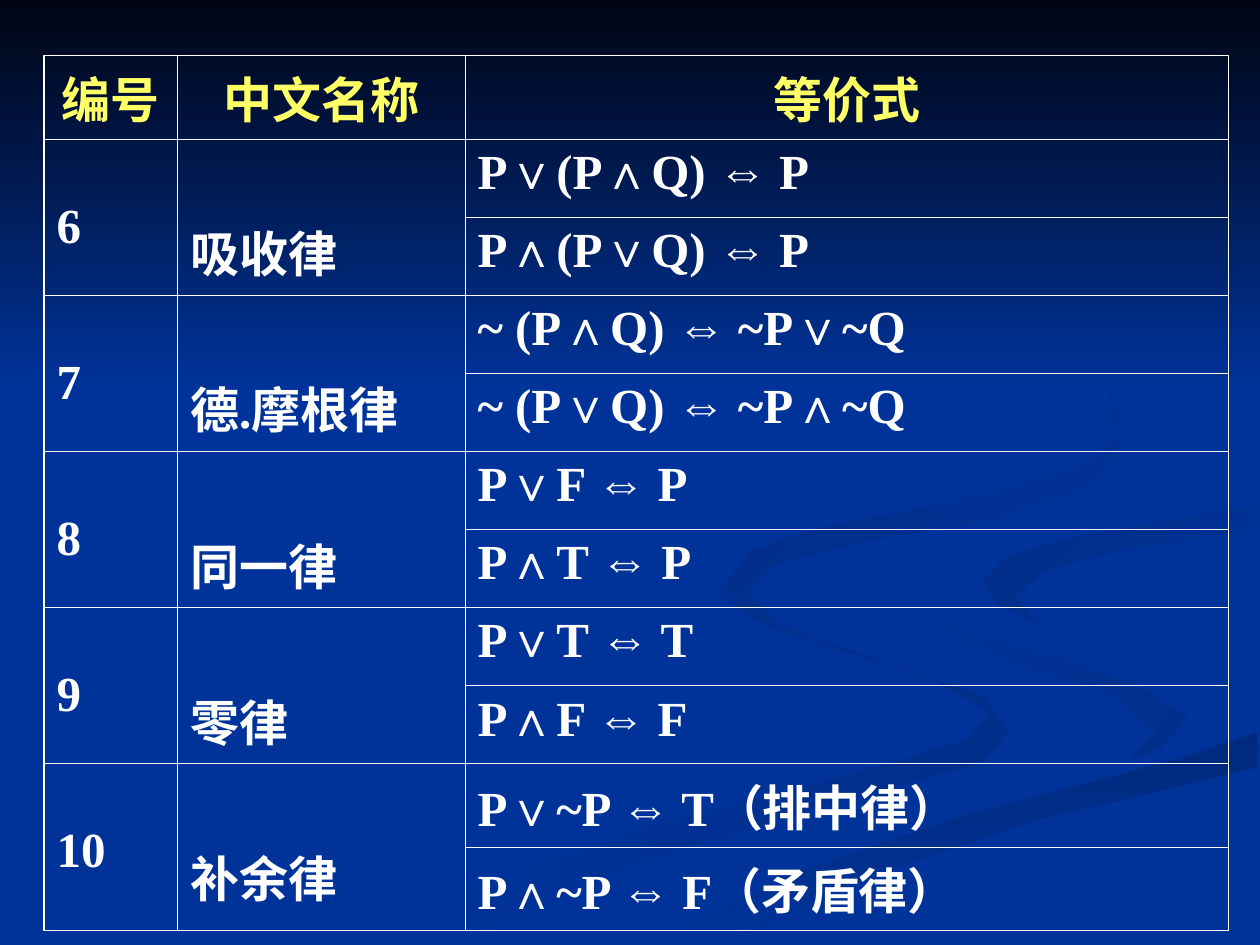
from lxml import etree
from pptx import Presentation
from pptx import util as u
from pptx.dml.color import RGBColor
from pptx.enum import shapes, text
from pptx.oxml import ns

COLORS = {"blue": "003399", "night": "000514", "white": "FFFFFF", "yellow": "FFFF66",
          "shade": "002E8B", "deep": "002A7D", "dusk": "002D86", "ink": "002B82"}
EMU_PER_PX = 9144  # 100 px to the inch

# Each stream: corner points, start colour, end colour, gradient angle
STREAMS = [
    ([(781, 553), (682, 519), (602, 490), (575, 459), (570, 472), (611, 499), (741, 539),
      (786, 566), (767, 587), (684, 613), (499, 661), (376, 707), (300, 749), (361, 749),
      (499, 687), (651, 640), (780, 605), (800, 581)], "blue", "shade", 0),
    ([(943, 570), (919, 547), (774, 503), (733, 483), (724, 464), (733, 488), (781, 518),
      (880, 549), (918, 581), (894, 605), (932, 589)], "blue", "shade", 45),
    ([(503, 749), (571, 749), (670, 702), (821, 651), (998, 609), (998, 581), (920, 606),
      (764, 647), (630, 693)], "deep", "blue", 90),
    ([(725, 464), (745, 490), (889, 535), (943, 570), (919, 597), (743, 643), (619, 684),
      (477, 749), (519, 747), (630, 693), (765, 647), (936, 602), (999, 581), (999, 538),
      (866, 509), (804, 485), (781, 463), (811, 437), (999, 402), (999, 387), (788, 422),
      (732, 446)], "blue", "blue", 0),
    ([(781, 460), (791, 478), (826, 496), (805, 474), (828, 453), (896, 435), (998, 420),
      (998, 402), (849, 427), (799, 442)], "dusk", "blue", 45),
    ([(683, 430), (786, 412), (867, 384), (894, 344), (880, 307), (843, 275), (762, 233),
      (846, 279), (882, 313), (886, 348), (861, 370), (791, 392), (649, 420), (597, 437),
      (577, 462), (590, 484), (622, 500), (593, 470), (614, 448)], "ink", "blue", 45),
]

HEADINGS = ["编号", "中文名称", "等价式"]
LAWS = [
    ("6", "吸收律", ["P∨(P∧Q) ⇔ P", "P∧(P∨Q) ⇔ P"]),
    ("7", "德.摩根律", ["~ (P∧Q) ⇔ ~P∨~Q", "~ (P∨Q) ⇔ ~P∧~Q"]),
    ("8", "同一律", ["P∨F ⇔ P", "P∧T ⇔ P"]),
    ("9", "零律", ["P∨T ⇔ T", "P∧F ⇔ F"]),
    ("10", "补余律", ["P∨~P ⇔ T（排中律）", "P∧~P ⇔ F（矛盾律）"]),
]


def px(value):
    return u.Emu(value * EMU_PER_PX)


def rgb(name):
    return RGBColor.from_string(COLORS[name])


class SlideBuilder:
    body_font, symbol_font, size = "Times New Roman", "Arial", 28
    outer_line, inner_line = 1.08, 0.45

    def __init__(self, slide):
        self.slide = slide

    def background(self, color):
        fill = self.slide.background.fill
        fill.solid()
        fill.fore_color.rgb = rgb(color)

    def paint(self, shape, start, end, angle):
        """Fill with a gradient whose angle runs clockwise; no line or shadow."""
        shape.shadow.inherit = False
        shape.line.fill.background()
        if start == end:
            shape.fill.solid()
            shape.fill.fore_color.rgb = rgb(start)
            return
        shape.fill.gradient()
        shape.fill.gradient_angle = 360 - angle
        for stop, color, position in zip(shape.fill.gradient_stops, (start, end), (0, 1)):
            stop.color.rgb = rgb(color)
            stop.position = position

    def outline(self, points, start, end, angle):
        builder = self.slide.shapes.build_freeform(*points[0], scale=EMU_PER_PX)
        builder.add_line_segments(points[1:], close=True)
        self.paint(builder.convert_to_shape(), start, end, angle)

    def rectangle(self, left, top, width, height, start, end, angle):
        shape = self.slide.shapes.add_shape(
            shapes.MSO_SHAPE.RECTANGLE, px(left), px(top), px(width), px(height))
        self.paint(shape, start, end, angle)

    def table(self, left, top, widths, row_height, row_count):
        frame = self.slide.shapes.add_table(row_count, len(widths), px(left), px(top),
                                            px(sum(widths)), px(row_height * row_count))
        table = frame.table
        table.first_row = table.horz_banding = False
        for column, width in zip(table.columns, widths):
            column.width = px(width)
        for row in table.rows:
            row.height = px(row_height)
        return table

    def cell(self, table, row, column, words, color="white", centered=False, span=1, spacing=None):
        cell = table.cell(row, column)
        if span > 1:
            cell.merge(table.cell(row + span - 1, column))
        cell.fill.background()
        cell.vertical_anchor = text.MSO_ANCHOR.TOP
        self.borders(cell, {"lnL": column == 0, "lnR": column + 1 == len(table.columns),
                            "lnT": row == 0, "lnB": row + span == len(table.rows)})
        paragraph = cell.text_frame.paragraphs[0]
        paragraph.alignment = text.PP_ALIGN.CENTER if centered else text.PP_ALIGN.LEFT
        if spacing:
            paragraph.line_spacing = spacing
        for part in filter(None, words.partition("⇔")):
            run = paragraph.add_run()
            run.text = part
            run.font.name = self.symbol_font if part == "⇔" else self.body_font
            run.font.size = u.Pt(self.size)
            run.font.bold = True
            run.font.color.rgb = rgb(color)

    def borders(self, cell, outer_sides):
        properties = cell._tc.get_or_add_tcPr()
        for index, (tag, is_outer) in enumerate(outer_sides.items()):
            width = u.Pt(self.outer_line if is_outer else self.inner_line)
            line = etree.Element(ns.qn(f"a:{tag}"), w=str(int(width)))
            fill = etree.SubElement(line, ns.qn("a:solidFill"))
            etree.SubElement(fill, ns.qn("a:srgbClr"), val=COLORS["white"])
            properties.insert(index, line)


def main():
    presentation = Presentation()
    presentation.slide_width, presentation.slide_height = px(1000), px(750)
    builder = SlideBuilder(presentation.slides.add_slide(presentation.slide_layouts[6]))

    builder.background("blue")
    for stream in STREAMS:
        builder.outline(*stream)
    builder.rectangle(0, 0, 1000, 308, "night", "blue", 90)

    table = builder.table(35, 44, [106, 228, 606], 62, 1 + 2 * len(LAWS))
    for column, heading in enumerate(HEADINGS):
        builder.cell(table, 0, column, heading, "yellow", centered=True)
    for index, (number, name, formulas) in enumerate(LAWS):
        row = 1 + 2 * index
        for column, words in enumerate((number, name)):
            builder.cell(table, row, column, words, span=2, spacing=2.0)
        for offset, formula in enumerate(formulas):
            builder.cell(table, row + offset, 2, formula)

    presentation.save("out.pptx")


if __name__ == "__main__":
    main()
